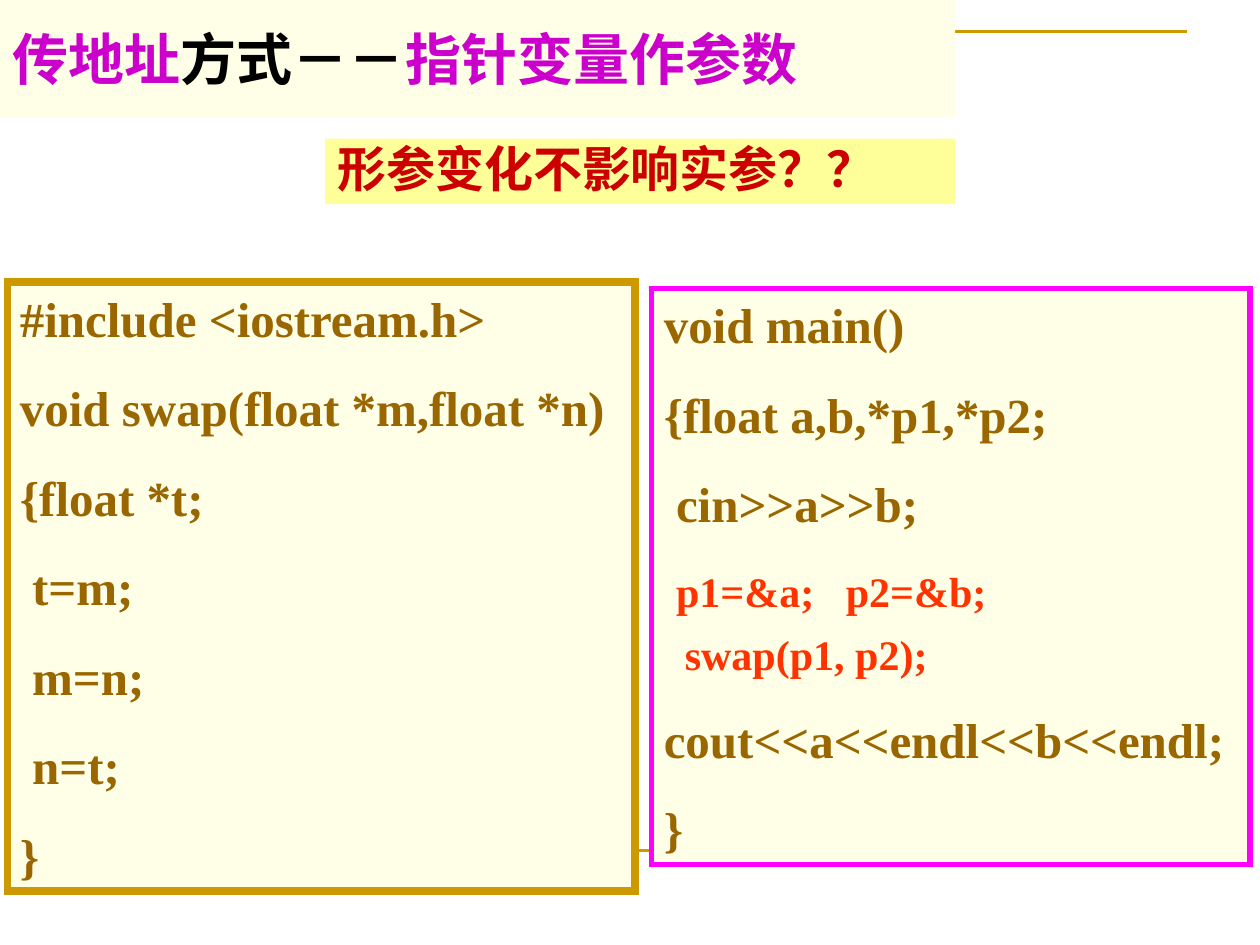
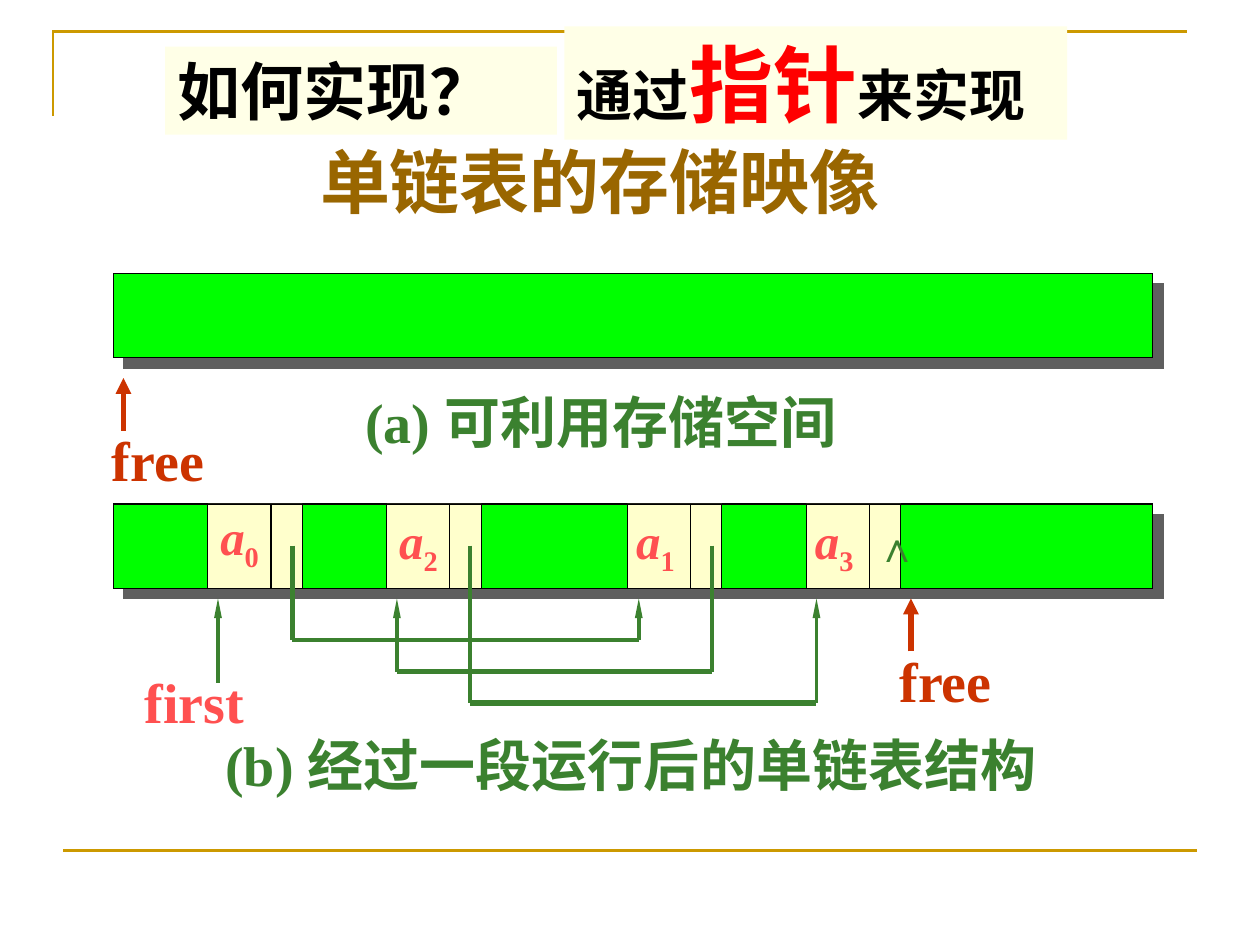
from dataclasses import dataclass

from lxml import etree
from pptx import Presentation
from pptx.dml.color import RGBColor
from pptx.enum import shapes, text
from pptx.oxml.ns import qn
from pptx.util import Inches, Pt

SERIF, SANS = "Times New Roman", "Noto Sans CJK SC"
GOLD, BROWN, CREAM, CELL = "CC9900", "996600", "FFFFE7", "FFFFCC"
GREEN, DARK_GREEN, BLACK = "00FF00", "3B812F", "000000"
PURPLE, RED, CORAL, RUST, ORANGE = "CC00CC", "FF0000", "FF5050", "CC3300", "FF3300"
BAR_LEFT, BAR_WIDTH, BAR_HEIGHT = 0.9, 8.25, 0.67
MEMORY_TOP, ARROW_TIP = 4, 4.75


@dataclass
class Run:
    text: str
    size: float = 32
    color: str = BLACK
    font: str = SERIF
    italic: bool = False
    baseline: int = 0


@dataclass
class Para:
    runs: list[Run]
    before: float = 0
    spacing: float = 1.0


@dataclass
class Node:
    index: str
    left: float
    label_left: float
    label_top: float = MEMORY_TOP


@dataclass
class Link:
    start: float
    end: float
    depth: float
    drop_width: float
    run_width: float


NODES = [Node("0", 1.65, 1.65, 3.97), Node("2", 3.07, 3.07),
         Node("1", 4.98, 4.95), Node("3", 6.4, 6.37)]
LINKS = [Link(2.32, 5.07, 5.08, 3, 2.25), Link(5.65, 3.15, 5.33, 2.25, 3),
         Link(3.73, 6.48, 5.58, 2.25, 3)]


def rgb(color: str) -> RGBColor:
    return RGBColor.from_string(color)


def code(line: str) -> Para:
    return Para([Run(line, 28, BROWN)], 17.5)


def write(sp, paras: list[Para], *, wrap: bool = True, anchor=text.MSO_ANCHOR.TOP,
          side: float = 0.1, top: float = 0.05) -> None:
    tf = sp.text_frame
    tf.word_wrap = wrap
    tf.auto_size = text.MSO_AUTO_SIZE.NONE if wrap else text.MSO_AUTO_SIZE.SHAPE_TO_FIT_TEXT
    tf.vertical_anchor = anchor
    tf.margin_left = tf.margin_right = Inches(side)
    tf.margin_top = tf.margin_bottom = Inches(top)
    for i, para in enumerate(paras):
        p = tf.add_paragraph() if i else tf.paragraphs[0]
        p.alignment = text.PP_ALIGN.LEFT
        p.space_before = Pt(para.before if i else 0)
        p.line_spacing = para.spacing
        for run in para.runs:
            r = p.add_run()
            r.text = run.text
            f = r.font
            f.name, f.size, f.bold, f.italic = run.font, Pt(run.size), True, run.italic
            f.color.rgb = rgb(run.color)
            rPr = r._r.get_or_add_rPr()
            etree.SubElement(rPr, qn("a:ea"), typeface=SANS)
            if run.baseline:
                rPr.set("baseline", str(run.baseline))


def place(sp, left: float, top: float, width: float, height: float) -> None:
    sp.left, sp.top, sp.width, sp.height = map(Inches, (left, top, width, height))


def set_line(sp, color: str, weight: float) -> None:
    sp.line.color.rgb = rgb(color)
    sp.line.width = Pt(weight)
    etree.SubElement(sp.line._get_or_add_ln(), qn("a:miter"), lim="800000")


def add_box(s, left: float, top: float, width: float, height: float, fill: str,
            line: str | None = None, weight: float = 0.75):
    sp = s.shapes.add_shape(shapes.MSO_SHAPE.RECTANGLE,
                            *map(Inches, (left, top, width, height)))
    sp.shadow.inherit = False
    sp.fill.solid()
    sp.fill.fore_color.rgb = rgb(fill)
    if line:
        set_line(sp, line, weight)
    else:
        sp.line.fill.background()
    return sp


def add_label(s, left: float, top: float, width: float, height: float,
              *runs: Run, wrap: bool = False) -> None:
    sp = s.shapes.add_textbox(*map(Inches, (left, top, width, height)))
    write(sp, [Para(list(runs))], wrap=wrap)


def add_line(s, start: tuple[float, float], end: tuple[float, float], color: str,
             weight: float, head: tuple[str, str] | None = None):
    sp = s.shapes.add_connector(shapes.MSO_CONNECTOR.STRAIGHT,
                                *map(Inches, (*start, *end)))
    set_line(sp, color, weight)
    if head:
        etree.SubElement(sp.line._get_or_add_ln(), qn("a:tailEnd"),
                         type="triangle", w=head[0], len=head[1])
    etree.SubElement(sp._element.spPr, qn("a:effectLst"))
    return sp


def add_memory_bar(s, top: float) -> None:
    sp = add_box(s, BAR_LEFT, top, BAR_WIDTH, BAR_HEIGHT, GREEN, BLACK)
    effects = sp._element.spPr.find(qn("a:effectLst"))
    shadow = etree.SubElement(effects, qn("a:outerShdw"), blurRad="0", dist=str(Pt(8.5)),
                              dir="2700000", algn="ctr", rotWithShape="0")
    etree.SubElement(shadow, qn("a:srgbClr"), val="5F5F5F")


def add_pointer(s, x: float, tip: float, length: float, color: str, weight: float,
                head: tuple[str, str]) -> None:
    add_line(s, (x, tip + length), (x, tip), color, weight, head)


def add_master_frame(prs, s) -> None:
    builder = s.shapes.build_freeform(Inches(0.42), Inches(0.92))
    builder.add_line_segments([(Inches(0.42), Inches(0.25)),
                               (Inches(9.42), Inches(0.25))], close=False)
    corner = builder.convert_to_shape()
    corner.shadow.inherit = False
    corner.fill.background()
    set_line(corner, GOLD, 1.5)
    rule = add_line(s, (0.5, 6.75), (9.5, 6.75), GOLD, 1.5)
    for sp in (corner, rule):
        prs.slide_master.shapes.element.append(sp._element)


def build_pointer_slide(s) -> None:
    title = s.shapes.title
    place(title, 0, 0, 7.58, 0.93)
    title.fill.solid()
    title.fill.fore_color.rgb = rgb(CREAM)
    write(title, [Para([Run("传地址", color=PURPLE, font=SANS),
                        Run("方式－－", font=SANS),
                        Run("指针变量作参数", color=PURPLE, font=SANS)])],
          anchor=text.MSO_ANCHOR.MIDDLE)

    main_box = add_box(s, 5.17, 2.29, 4.75, 4.57, CREAM, "FF00FF", 3)
    write(main_box, [
        code("void main()"),
        code("{float a,b,*p1,*p2;"),
        code(" cin>>a>>b;"),
        Para([Run(" ", 28, BROWN), Run("p1=&a;   p2=&b;", 24, ORANGE)], 15),
        Para([Run("  swap(p1, p2);", 24, ORANGE)], 6),
        code("cout<<a<<endl<<b<<endl;"),
        code("}"),
    ])

    swap_box = add_box(s, 0.06, 2.24, 4.98, 4.83, CREAM, GOLD, 4.5)
    swap_lines = ["#include <iostream.h>", "void swap(float *m,float *n)", "{float *t;",
                  " t=m;", " m=n;", " n=t;", "}"]
    write(swap_box, [code(line) for line in swap_lines])

    question = add_box(s, 2.58, 1.1, 5, 0.52, "FFFF99")
    write(question, [Para([Run("形参变化不影响实参？？", 28, "CC0000", SANS)], spacing=0.9)])


def build_list_slide(s) -> None:
    title = s.shapes.title
    place(title, 2.42, 1.04, 4.69, 0.79)
    write(title, [Para([Run("单链表的存储映像", 40, BROWN)])], wrap=False, side=0.12, top=0.06)
    how = add_box(s, 1.31, 0.37, 3.11, 0.7, CREAM)
    write(how, [Para([Run("如何实现？", 36)])])
    answer = add_box(s, 4.48, 0.21, 3.99, 0.9, CREAM)
    write(answer, [Para([Run("通过"), Run("指针", 48, RED), Run("来实现")])])

    wide, slim = ("med", "med"), ("sm", "lg")
    add_memory_bar(s, 2.17)
    add_pointer(s, 0.98, 3, 0.42, RUST, 3, wide)
    add_label(s, 0.79, 3.33, 0.94, 0.64, Run("free", color=RUST))
    add_label(s, 2.8, 3.03, 4.05, 0.64, Run("(a) 可利用存储空间", color=DARK_GREEN))

    add_memory_bar(s, MEMORY_TOP)
    for node in NODES:
        add_box(s, node.left, MEMORY_TOP, 0.75, BAR_HEIGHT, CELL, BLACK, 0.5)
        divider = node.left + 0.5
        add_line(s, (divider, MEMORY_TOP), (divider, MEMORY_TOP + BAR_HEIGHT), BLACK, 0.75)
        add_label(s, node.label_left, node.label_top, 0.53, 0.63,
                  Run("a", 28, CORAL, italic=True),
                  Run(node.index, 28, CORAL, baseline=-25000), wrap=True)
    add_label(s, 6.86, 4.08, 0.31, 0.5, Run("∧", 24, DARK_GREEN, "Arial"))

    add_pointer(s, 1.73, ARROW_TIP, 0.67, DARK_GREEN, 2.25, slim)
    add_pointer(s, 7.23, ARROW_TIP, 0.42, RUST, 3, wide)
    add_label(s, 7.04, 5.08, 0.94, 0.64, Run("free", color=RUST))
    add_label(s, 1.05, 5.25, 0.99, 0.64, Run("first", color=CORAL))
    for link in LINKS:
        add_line(s, (link.start, 4.33), (link.start, link.depth), DARK_GREEN, link.drop_width)
        add_line(s, (link.start, link.depth), (link.end, link.depth), DARK_GREEN, link.run_width)
        add_pointer(s, link.end, ARROW_TIP, link.depth - ARROW_TIP, DARK_GREEN, 2.25, slim)
    add_label(s, 1.69, 5.75, 7, 0.64, Run("(b) ", color=DARK_GREEN),
              Run("经过一段运行后的单链表结构", color=DARK_GREEN, font=SANS), wrap=True)


def main() -> None:
    prs = Presentation()
    prs.slide_width, prs.slide_height = Inches(10), Inches(7.5)
    title_only = prs.slide_layouts[5]
    pointer_slide, list_slide = (prs.slides.add_slide(title_only) for _ in range(2))
    add_master_frame(prs, pointer_slide)
    build_pointer_slide(pointer_slide)
    build_list_slide(list_slide)
    prs.save("out.pptx")


if __name__ == "__main__":
    main()
